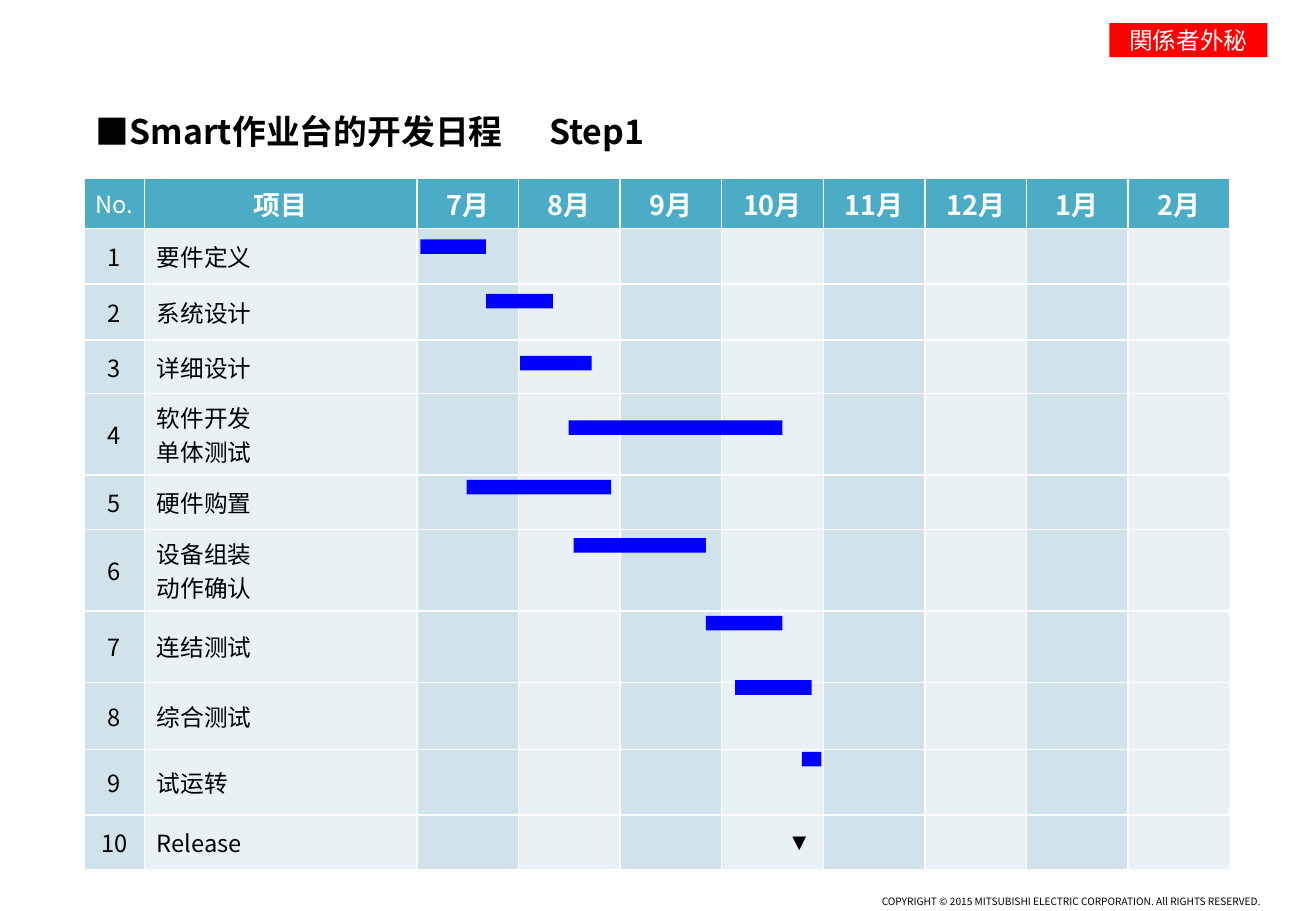
from dataclasses import dataclass

from lxml.etree import SubElement
from pptx import Presentation
from pptx.dml.color import RGBColor
from pptx.enum.shapes import MSO_SHAPE as Shape
from pptx.enum.text import MSO_ANCHOR as Anchor, PP_ALIGN as Align
from pptx.oxml import parse_xml
from pptx.oxml.ns import nsdecls, qn
from pptx.util import Inches, Pt


@dataclass(frozen=True)
class Theme:
    japanese: str = "Noto Sans CJK JP"
    chinese: str = "Noto Sans CJK SC"
    serif: str = "Times New Roman"
    black: str = "000000"
    white: str = "FFFFFF"
    secret: str = "FF0000"
    header: str = "4BACC6"
    odd_column: str = "D0E3EA"
    even_column: str = "E9F1F5"
    bar: str = "0000FF"
    title_size: int = 20
    month_size: int = 16
    body_size: int = 14
    copyright_size: int = 6


THEME = Theme()

MONTHS = ["7月", "8月", "9月", "10月", "11月", "12月", "1月", "2月"]
TABLE_WIDTH = 9.43
NUMBER_WIDTH = 0.5
TASK_WIDTH = 2.24
MONTH_WIDTH = (TABLE_WIDTH - NUMBER_WIDTH - TASK_WIDTH) / len(MONTHS)
HEADER_HEIGHT = 0.41
TASKS = [
    ("要件定义", 0.46),
    ("系统设计", 0.46),
    ("详细设计", 0.44),
    ("软件开发\n单体测试", 0.67),
    ("硬件购置", 0.45),
    ("设备组装\n动作确认", 0.67),
    ("连结测试", 0.59),
    ("综合测试", 0.55),
    ("试运转", 0.54),
    ("Release", 0.45),
]
RELEASE_COLUMN = 2 + MONTHS.index("10月")
BAR_HEIGHT = 0.12
BARS = [
    (3.46, 1.97, 0.54),
    (4.0, 2.42, 0.55),
    (4.28, 2.93, 0.59),
    (4.68, 3.46, 1.76),
    (3.84, 3.95, 1.19),
    (4.72, 4.43, 1.09),
    (5.81, 5.07, 0.63),
    (6.05, 5.6, 0.63),
    (6.6, 6.19, 0.16),
]


def write(frame, text, size, color=THEME.black, face=THEME.japanese,
          align=Align.LEFT, bold=False, tab=None):
    frame.text = text
    for paragraph in frame.paragraphs:
        paragraph.alignment = align
        if tab:
            stops = SubElement(paragraph._p.get_or_add_pPr(), qn("a:tabLst"))
            SubElement(stops, qn("a:tab"), pos=str(Inches(tab)), algn="l")
        font = paragraph.font
        font.size = Pt(size)
        font.bold = bold
        font.color.rgb = RGBColor.from_string(color)
        font.name = face
        defaults = paragraph._p.pPr.find(qn("a:defRPr"))
        SubElement(defaults, qn("a:ea"), typeface=face)


def add_label(slide, left, top, width, height, text, size, anchor, **style):
    label = slide.shapes.add_textbox(
        Inches(left), Inches(top), Inches(width), Inches(height))
    frame = label.text_frame
    frame.word_wrap = True
    frame.vertical_anchor = anchor
    write(frame, text, size, **style)
    return frame


def add_block(slide, left, top, width, height, color):
    block = slide.shapes.add_shape(
        Shape.RECTANGLE, Inches(left), Inches(top), Inches(width), Inches(height))
    block.shadow.inherit = False
    block.fill.solid()
    block.fill.fore_color.rgb = RGBColor.from_string(color)
    block.line.fill.background()
    return block


def style_cell(cell, color):
    cell.vertical_anchor = Anchor.MIDDLE
    cell.fill.solid()
    cell.fill.fore_color.rgb = RGBColor.from_string(color)
    for position, side in enumerate(["lnL", "lnR", "lnT", "lnB"]):
        border = parse_xml(
            f'<a:{side} {nsdecls("a")} w="{Pt(1)}"><a:solidFill>'
            f'<a:srgbClr val="{THEME.white}"/></a:solidFill></a:{side}>')
        cell._tc.get_or_add_tcPr().insert(position, border)


def add_schedule(slide):
    column_widths = [NUMBER_WIDTH, TASK_WIDTH] + [MONTH_WIDTH] * len(MONTHS)
    row_heights = [HEADER_HEIGHT] + [height for _, height in TASKS]
    table = slide.shapes.add_table(
        len(row_heights), len(column_widths), Inches(0.69), Inches(1.47),
        Inches(TABLE_WIDTH), Inches(sum(row_heights))).table
    table.horz_banding = False
    for column, width in zip(table.columns, column_widths):
        column.width = Inches(width)
    for row, height in zip(table.rows, row_heights):
        row.height = Inches(height)

    for index, heading in enumerate(["No.", "项目"] + MONTHS):
        cell = table.cell(0, index)
        style_cell(cell, THEME.header)
        if index == 0:
            cell.margin_left = cell.margin_right = Inches(0.03)
            write(cell.text_frame, heading, THEME.body_size, THEME.white,
                  align=Align.CENTER)
        else:
            write(cell.text_frame, heading, THEME.month_size, THEME.white,
                  THEME.chinese, Align.CENTER, bold=True)

    for number, (task, _) in enumerate(TASKS, start=1):
        for index in range(len(column_widths)):
            style_cell(table.cell(number, index),
                       THEME.even_column if index % 2 else THEME.odd_column)
        write(table.cell(number, 0).text_frame, str(number), THEME.body_size,
              face=THEME.chinese, align=Align.CENTER)
        write(table.cell(number, 1).text_frame, task, THEME.body_size)

    write(table.cell(len(TASKS), RELEASE_COLUMN).text_frame, "▼",
          THEME.body_size, face=THEME.serif, align=Align.RIGHT, bold=True)


def main():
    deck = Presentation()
    deck.slide_width = Inches(10.83)
    deck.slide_height = Inches(7.5)
    slide = deck.slides.add_slide(deck.slide_layouts[6])

    notice = add_label(
        slide, 4.44, 7.35, 5.93, 0.12,
        "COPYRIGHT © 2015 MITSUBISHI ELECTRIC CORPORATION. All RIGHTS RESERVED.",
        THEME.copyright_size, Anchor.BOTTOM, align=Align.RIGHT)
    notice.margin_left = notice.margin_right = notice.margin_bottom = 0
    notice.margin_top = Inches(0.04)

    secrecy = add_block(slide, 9.13, 0.19, 1.3, 0.28, THEME.secret).text_frame
    secrecy.word_wrap = False
    secrecy.vertical_anchor = Anchor.MIDDLE
    write(secrecy, "関係者外秘", THEME.body_size, THEME.white, align=Align.CENTER)

    add_label(slide, 0.69, 0.84, 5.43, 0.47, "■Smart作业台的开发日程\tStep1",
              THEME.title_size, Anchor.MIDDLE, face=THEME.chinese, bold=True,
              tab=3.73)

    add_schedule(slide)
    for left, top, width in BARS:
        add_block(slide, left, top, width, BAR_HEIGHT, THEME.bar)

    deck.save("out.pptx")


if __name__ == "__main__":
    main()
